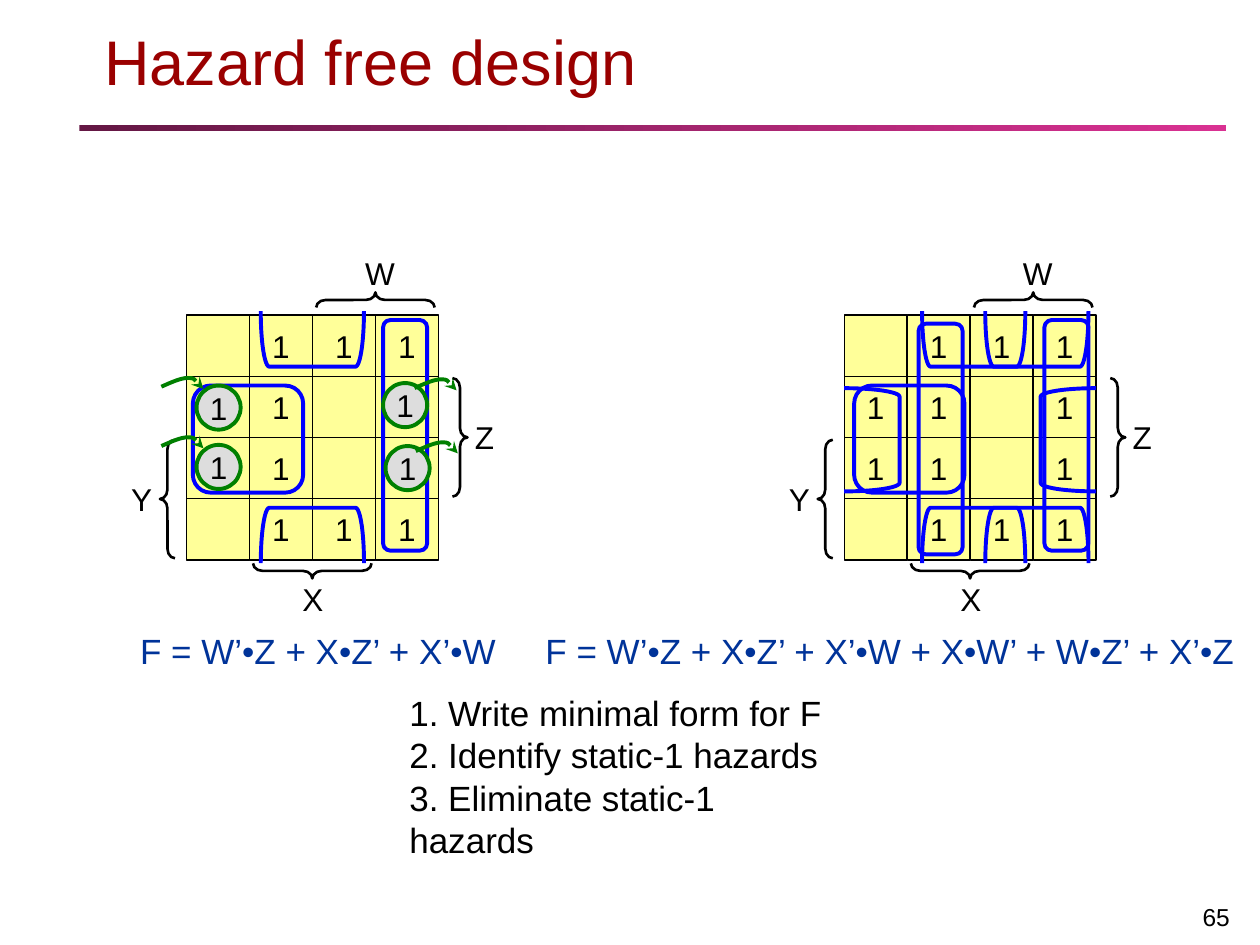
from dataclasses import dataclass

from pptx import Presentation
from pptx.dml.color import RGBColor
from pptx.enum.shapes import MSO_SHAPE
from pptx.enum.text import MSO_ANCHOR, PP_ALIGN
from pptx.oxml.ns import qn
from pptx.oxml.xmlchemy import OxmlElement
from pptx.util import Pt

RECT, ROUND, OVAL = MSO_SHAPE.RECTANGLE, MSO_SHAPE.ROUNDED_RECTANGLE, MSO_SHAPE.OVAL
BRACE, BRACKET = MSO_SHAPE.LEFT_BRACE, MSO_SHAPE.LEFT_BRACKET
LEFT, MID, RIGHT = PP_ALIGN.LEFT, PP_ALIGN.CENTER, PP_ALIGN.RIGHT
CENTER, BOTTOM = MSO_ANCHOR.MIDDLE, MSO_ANCHOR.BOTTOM


@dataclass(frozen=True)
class Theme:
    font: str = "Arial"
    ink: str = "000000"
    head: str = "9A0000"
    math: str = "003399"
    cell: str = "FFFF99"
    loop: str = "0000FF"
    spot: str = "DDDDDD"
    green: str = "008000"
    rule: tuple = ("641744", "D93192")
    big: int = 36
    body: int = 20
    mark: int = 18
    small: int = 14


def put(frame, text, size, color, font, align=LEFT, anchor=CENTER, wrap=False, pitch=None):
    """Fill a text frame, one paragraph per line of text."""
    frame.word_wrap = wrap
    frame.vertical_anchor = anchor
    for i, line in enumerate(text.split("\n")):
        par = frame.paragraphs[0] if i == 0 else frame.add_paragraph()
        par.alignment = align
        if pitch:
            par.line_spacing = Pt(pitch)
        run = par.add_run()
        run.text = line
        run.font.name, run.font.size = font, Pt(size)
        run.font.color.rgb = RGBColor.from_string(color)


class Board:
    def __init__(self, slide, theme):
        self.slide, self.theme = slide, theme

    def style(self, shape, fill, line, width):
        shape.shadow.inherit = False
        if fill:
            shape.fill.solid()
            shape.fill.fore_color.rgb = RGBColor.from_string(fill)
        else:
            shape.fill.background()
        if line:
            shape.line.color.rgb = RGBColor.from_string(line)
            shape.line.width = Pt(width)
        else:
            shape.line.fill.background()

    def text(self, box, text, size, color=None, **form):
        frame = self.slide.shapes.add_textbox(*map(Pt, box)).text_frame
        put(frame, text, size, color or self.theme.ink, self.theme.font, **form)

    def shape(self, kind, box, fill=None, line=None, width=2.25, text="", bend=None, turn=0):
        shape = self.slide.shapes.add_shape(kind, *map(Pt, box))
        self.style(shape, fill, line, width)
        if bend is not None:
            shape.adjustments[0] = bend
        shape.rotation = turn
        if text:
            put(shape.text_frame, text, self.theme.mark, self.theme.ink,
                self.theme.font, align=MID)
        return shape

    def bar(self, box):
        fill = self.shape(RECT, box).fill
        fill.gradient()
        fill.gradient_angle = 0
        for stop, color in zip(fill.gradient_stops, self.theme.rule):
            stop.color.rgb = RGBColor.from_string(color)

    def loop(self, x, y, w, h):
        self.shape(ROUND, (x, y, w, h), line=self.theme.loop, bend=0.167)

    def open_loop(self, x, y, turn):
        """Bracket centred on (x, y)."""
        w, h = 31.7, 59
        self.shape(BRACKET, (x - w / 2, y - h / 2, w, h),
                   line=self.theme.loop, bend=0.154, turn=turn)

    def brace(self, x, y, turn):
        """Brace centred on (x, y)."""
        w, h = 8.6, 67.7
        self.shape(BRACE, (x - w / 2, y - h / 2, w, h),
                   line=self.theme.ink, width=1.5, bend=0.63, turn=turn)

    def arrow(self, x, y):
        """Curved arrow; each three points after the start make one curve."""
        bends = [(5.5, -2.4), (11, -5), (15.1, -5), (19, -5), (21.6, -1.7), (24, 1.3)]
        pen = self.slide.shapes.build_freeform(Pt(x), Pt(y))
        pen.add_line_segments([(Pt(x + dx), Pt(y + dy)) for dx, dy in bends], close=False)
        shape = pen.convert_to_shape()
        self.style(shape, None, self.theme.green, 2.25)
        track = shape._element.find(".//" + qn("a:path"))
        legs = track.findall(qn("a:lnTo"))
        for i in range(0, len(legs), 3):
            curve = OxmlElement("a:cubicBezTo")
            for leg in legs[i:i + 3]:
                curve.append(leg[0])
                track.remove(leg)
            track.append(curve)
        tip = OxmlElement("a:tailEnd")
        tip.set("type", "stealth")
        shape.line._get_or_add_ln().append(tip)

    def grid(self, left, top, rows):
        """Map of cells with a brace and a letter on each side."""
        wide, high = 36, 35
        for r, row in enumerate(rows):
            for c, mark in enumerate(row):
                self.shape(RECT, (left + c * wide, top + r * high, wide, high),
                           self.theme.cell, self.theme.ink, 0.75, mark.strip())
        sides = [("W", 108, -8.6, 90, 108.4, -23.8), ("X", 72, 146.2, 270, 72.4, 162),
                 ("Y", -10.8, 105.2, 0, -25.5, 105.1), ("Z", 156.3, 69.9, 180, 170.4, 69.8)]
        for name, x, y, turn, tx, ty in sides:
            self.brace(left + x, top + y, turn)
            self.text((left + tx - 13.3, top + ty - 14.4, 26.6, 28.8), name,
                      self.theme.mark, align=MID)

    def pair(self, x, top):
        """Open loop that wraps from the bottom row to the top row."""
        self.open_loop(x, top + 126, 90)
        self.open_loop(x, top + 13.7, 270)

    def cover(self, left, top):
        """Loops of the minimal form."""
        self.loop(left + 3.7, top + 40.3, 63, 61.2)
        self.pair(left + 72, top)
        self.loop(left + 112.4, top + 2.9, 25.2, 131.8)


def main():
    deck = Presentation()
    deck.slide_width, deck.slide_height = Pt(720), Pt(540)
    theme = Theme()
    board = Board(deck.slides.add_slide(deck.slide_layouts[6]), theme)

    # Heading and page number
    board.bar((45.4, 71.3, 655.2, 3.6))
    board.text((52.6, 9.4, 643, 50.4), "Hazard free design", theme.big, theme.head,
               anchor=BOTTOM, wrap=True)
    board.text((669.6, 499.7, 40.3, 36), "65", theme.small, align=RIGHT, anchor=BOTTOM)

    # Both maps with the minimal cover
    rows = [" 111", "11 1", "11 1", " 111"]
    top, first, second = 180, 106.5, 482.4
    for left, shift in ((first, 0), (second, 2)):
        board.grid(left, top, rows)
        board.cover(left + shift, top)

    # Hazards on the first map
    spots = [(218.9, 218.9, 236.9, 221.8), (112.3, 220.3, 92.2, 221),
             (220.3, 254.9, 237.6, 257.8), (112.3, 254.2, 92.2, 254.9)]
    for x, y, ax, ay in spots:
        board.shape(OVAL, (x, y, 25.2, 25.2), theme.spot, theme.green, text="1")
        board.arrow(ax, ay)

    # Added loops on the second map
    board.loop(second + 42.5, top + 5, 25.2, 131.8)
    board.pair(second + 110.1, top)
    board.open_loop(second + 128.1, top + 71.3, 0)
    board.open_loop(second + 15.8, top + 71.3, 180)

    # Formulas and steps
    board.text((72.7, 356.4, 218.2, 31), "F = W’•Z + X•Z’ + X’•W",
               theme.body, theme.math, align=MID)
    board.text((304.6, 356.4, 409.7, 31), "F = W’•Z + X•Z’ + X’•W + X•W’ + W•Z’ + X’•Z",
               theme.body, theme.math)
    steps = "1. Write minimal form for F\n2. Identify static-1 hazards\n3. Eliminate static-1 hazards"
    board.text((226.8, 391.8, 265, 103.2), steps, theme.body, wrap=True, pitch=24)

    deck.save("out.pptx")


if __name__ == "__main__":
    main()
